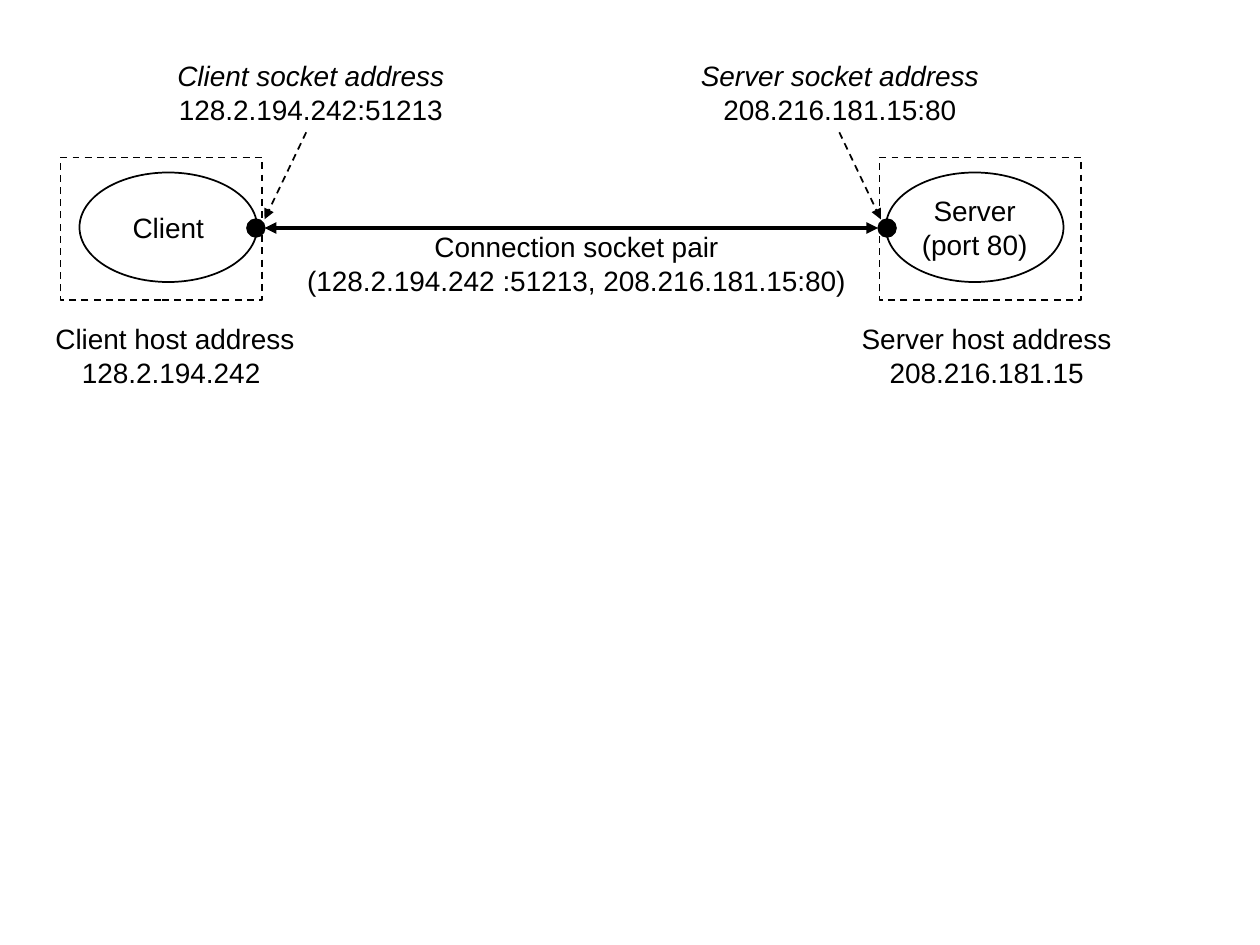
from pptx import Presentation
from pptx.dml.color import RGBColor
from pptx.enum.dml import MSO_LINE
from pptx.enum.shapes import MSO_CONNECTOR, MSO_SHAPE
from pptx.enum.text import MSO_ANCHOR, PP_ALIGN
from pptx.oxml.ns import qn
from pptx.util import Pt
from lxml.etree import SubElement

COLORS = {"ink": "000000", "paper": "FFFFFF"}
FONT, SIZE = "Arial", 16
HOST_W, HOST_H = 115.2, 81.4
OVAL_W, OVAL_H = 101.5, 62.6
DOT = 10.1
LABEL_H = 46.1


def rgb(name):
    return RGBColor.from_string(COLORS[name])


def set_text(sp, lines, italic_first=False):
    tf = sp.text_frame
    tf.text = "\n".join(lines)
    tf.word_wrap = False
    tf.vertical_anchor = MSO_ANCHOR.MIDDLE
    for i, p in enumerate(tf.paragraphs):
        p.alignment = PP_ALIGN.CENTER
        for r in p.runs:
            r.font.name, r.font.size = FONT, Pt(SIZE)
            r.font.color.rgb = rgb("ink")
            r.font.italic = italic_first and i == 0


def add_label(slide, center, top, width, lines, italic_first=False):
    sp = slide.shapes.add_textbox(Pt(center - width / 2), Pt(top), Pt(width), Pt(LABEL_H))
    set_text(sp, lines, italic_first)


def add_outline(slide, kind, left, top, width, height, fill=None):
    sp = slide.shapes.add_shape(kind, Pt(left), Pt(top), Pt(width), Pt(height))
    sp.shadow.inherit = False
    if fill:
        sp.fill.solid()
        sp.fill.fore_color.rgb = rgb(fill)
    else:
        sp.fill.background()
    sp.line.color.rgb = rgb("ink")
    sp.line.width = Pt(1)
    return sp


def add_arrow(slide, start, end, width, ends, dash=None):
    cx = slide.shapes.add_connector(MSO_CONNECTOR.STRAIGHT, *map(Pt, (*start, *end)))
    cx.line.color.rgb = rgb("ink")
    cx.line.width = Pt(width)
    if dash:
        cx.line.dash_style = dash
    ln = cx.line._get_or_add_ln()
    for tag in ends:
        SubElement(ln, qn(tag), type="triangle")
    SubElement(cx._element.spPr, qn("a:effectLst"))


def add_host(slide, left, top, process, socket, address,
             oval_dx, dot_dx, pointer_dx, socket_dx, address_dx):
    box = add_outline(slide, MSO_SHAPE.RECTANGLE, left, top, HOST_W, HOST_H)
    box.line.dash_style = MSO_LINE.DASH
    oval = add_outline(slide, MSO_SHAPE.OVAL, left + oval_dx, top + 8.6, OVAL_W, OVAL_H, "paper")
    oval.text_frame.margin_left = oval.text_frame.margin_right = 0
    oval.text_frame.margin_top = oval.text_frame.margin_bottom = 0
    set_text(oval, process)
    add_outline(slide, MSO_SHAPE.OVAL, left + dot_dx, top + 35.3, DOT, DOT, "ink")
    add_label(slide, left + socket_dx, top - 60.2, 186, socket, italic_first=True)
    add_label(slide, left + address_dx, top + 90, 164, address)
    start_dx, end_dx = pointer_dx
    add_arrow(slide, (left + start_dx, top - 14.4), (left + end_dx, top + 35.3),
              1, ["a:tailEnd"], MSO_LINE.DASH)


def add_connection(slide, left, right, y):
    add_label(slide, (left + right) / 2 + 2.9, y - 2.9, 342, [
        "Connection socket pair", "(128.2.194.242 :51213, 208.216.181.15:80)"])
    add_arrow(slide, (left, y), (right, y), 2.25, ["a:headEnd", "a:tailEnd"])


def main():
    prs = Presentation()
    prs.slide_width, prs.slide_height = Pt(720), Pt(540)
    slide = prs.slides.add_slide(prs.slide_layouts[6])
    add_connection(slide, 151.2, 501.8, 130.3)
    add_host(slide, 34.6, 90, ["Client"],
             ["Client socket address", "128.2.194.242:51213"],
             ["Client host address", "128.2.194.242 "],
             oval_dx=10.8, dot_dx=106.6, pointer_dx=(140.4, 116.6),
             socket_dx=143, address_dx=65.4)
    add_host(slide, 502.6, 90, ["Server", "(port 80)"],
             ["Server socket address", "208.216.181.15:80"],
             ["Server host address", "208.216.181.15"],
             oval_dx=3.6, dot_dx=-0.7, pointer_dx=(-23, 0.7),
             socket_dx=-22.7, address_dx=61.2)
    prs.save("out.pptx")


if __name__ == "__main__":
    main()
